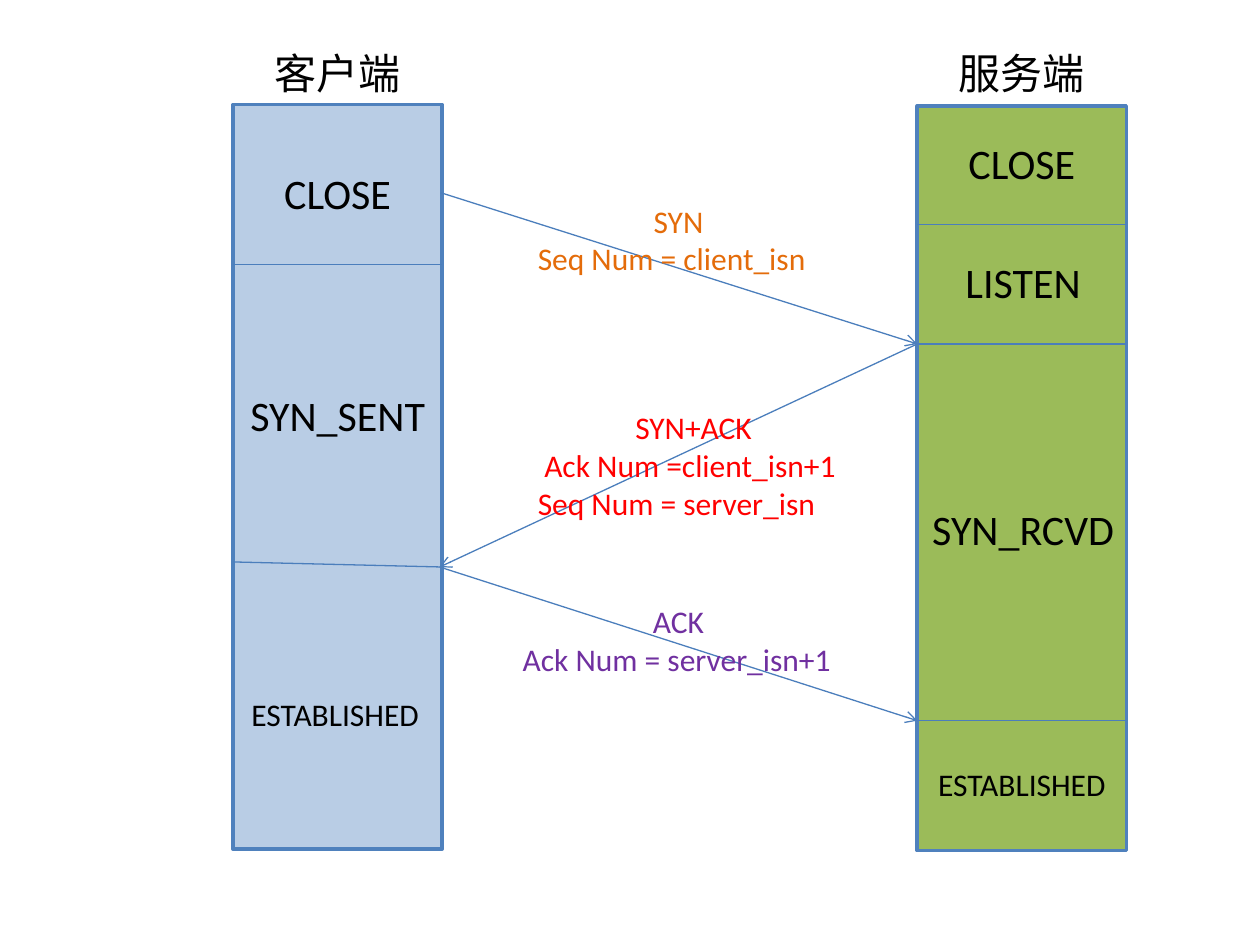
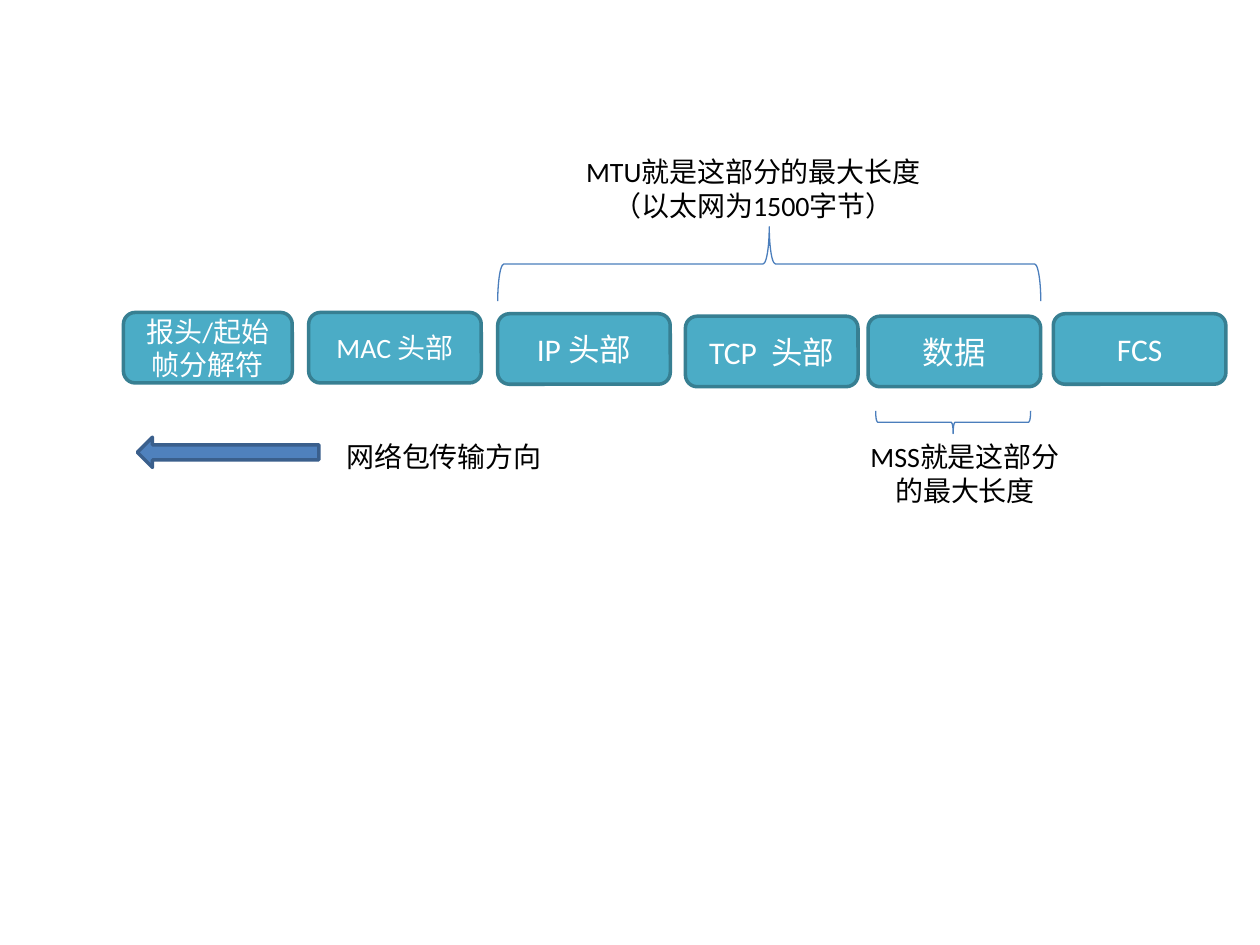
import pptx
import pptx.util
import pptx.dml.color
import pptx.enum.shapes
import pptx.enum.text
import pptx.oxml
import pptx.oxml.ns

SHAPE = pptx.enum.shapes.MSO_SHAPE
ALIGN = pptx.enum.text.PP_ALIGN
PX = 9144
SLIDE_SIZE = (1000, 750)
FONT = "Calibri"
BLACK, WHITE = "000000", "FFFFFF"
BLUE, THIN_BLUE, DARK_BLUE = "4F81BD", "4B7EBC", "3A5F8C"
TEAL, DARK_TEAL = "4BACC6", "377F92"

LANE_WIDTH, LANE_HEIGHT = 166, 591
CLIENT_X, SERVER_X = 185, 728
CLIENT_EDGE = CLIENT_X + LANE_WIDTH - 1
HEADING_OVERHANG = 16

LANES = [
    {"heading": "客户端", "left": CLIENT_X, "top": 83, "fill": "B9CDE5",
     "dividers": [(210, 210), (446, 450)],
     "states": [("CLOSE", 0, 128, 24), ("SYN_SENT", 0, 304, 24), ("ESTABLISHED", -2, 547, 18)]},
    {"heading": "服务端", "left": SERVER_X, "top": 84, "fill": "9BBB59",
     "dividers": [(178, 178), (273, 273), (572, 572)],
     "states": [("CLOSE", 0, 104, 24), ("LISTEN", 1, 199, 24),
                ("SYN_RCVD", 1, 395, 24), ("ESTABLISHED", 0, 602, 18)]},
]

MESSAGES = [
    {"start": (CLIENT_EDGE, 153), "end": (SERVER_X, 273), "box": (417, 155, 243, 71), "color": "E46C0A",
     "lines": [("SYN", ALIGN.CENTER), ("Seq Num = client_isn", ALIGN.LEFT)]},
    {"start": (SERVER_X, 273), "end": (CLIENT_EDGE - 1, 450), "box": (417, 319, 267, 101), "color": "FF0000",
     "lines": [("SYN+ACK", ALIGN.CENTER), ("Ack Num =client_isn+1 ", ALIGN.CENTER),
               ("Seq Num = server_isn", ALIGN.LEFT)]},
    {"start": (CLIENT_EDGE - 1, 450), "end": (SERVER_X, 572), "box": (405, 473, 267, 71), "color": "7030A0",
     "lines": [("ACK", ALIGN.CENTER), ("Ack Num = server_isn+1", ALIGN.LEFT)]},
]

FIELD_HEIGHT = 56
FIELDS = [
    ("报头/起始帧分解符", 98, 248, 134, 16),
    ("MAC 头部", 245, 248, 137, 16),
    ("IP 头部", 395, 249, 137, 18),
    ("TCP  头部", 544, 251, 137, 18),
    ("数据", 689, 251, 137, 18),
    ("FCS", 836, 249, 137, 18),
]
BRACES = [
    {"span": (395, 180, 431, 59), "turn": 90, "box": (395, 118, 406, 64),
     "lines": ["MTU就是这部分的最大长度", "（以太网为1500字节）"]},
    {"span": (695, 326, 123, 18), "turn": 270, "box": (673, 344, 186, 64),
     "lines": ["MSS就是这部分的最大长度"]},
]
DIRECTION = {"arrow": (109, 347, 144, 24), "box": (265, 344, 211, 37), "text": "网络包传输方向"}


def emu(*lengths):
    return [round(length * PX) for length in lengths]


def rgb(color):
    return pptx.dml.color.RGBColor.from_string(color)


def write(frame, lines, size=16, color=BLACK, align=ALIGN.CENTER):
    frame.word_wrap = True
    for index, line in enumerate(lines):
        text, line_align = line if isinstance(line, tuple) else (line, align)
        paragraph = frame.add_paragraph() if index else frame.paragraphs[0]
        paragraph.alignment = line_align
        run = paragraph.add_run()
        run.text = text
        run.font.name = FONT
        run.font.size = pptx.util.Pt(size)
        run.font.color.rgb = rgb(color)


def add_label(slide, box, lines, **style):
    frame = slide.shapes.add_textbox(*emu(*box)).text_frame
    write(frame, lines, **style)
    frame.auto_size = pptx.enum.text.MSO_AUTO_SIZE.SHAPE_TO_FIT_TEXT


def add_block(slide, preset, box, fill=None, line=THIN_BLUE, weight=2, turn=0):
    block = slide.shapes.add_shape(preset, *emu(*box))
    block.shadow.inherit = False
    block.rotation = turn
    if fill:
        block.fill.solid()
        block.fill.fore_color.rgb = rgb(fill)
    else:
        block.fill.background()
    block.line.color.rgb = rgb(line)
    block.line.width = pptx.util.Pt(weight)
    return block


def add_line(slide, start, end, arrow=False):
    line = slide.shapes.add_connector(
        pptx.enum.shapes.MSO_CONNECTOR.STRAIGHT, *emu(*start, *end))
    line.line.color.rgb = rgb(THIN_BLUE)
    line.line.width = pptx.util.Pt(0.75)
    if arrow:
        head = pptx.oxml.parse_xml(
            f'<a:tailEnd {pptx.oxml.ns.nsdecls("a")} type="arrow"/>')
        line.line._get_or_add_ln().append(head)
    line._element.spPr.append(
        pptx.oxml.parse_xml(f'<a:effectLst {pptx.oxml.ns.nsdecls("a")}/>'))


def build_handshake(slide):
    for lane in LANES:
        left, right = lane["left"], lane["left"] + LANE_WIDTH
        add_block(slide, SHAPE.RECTANGLE, (left, lane["top"], LANE_WIDTH, LANE_HEIGHT),
                  fill=lane["fill"], line=BLUE)
        add_label(slide, (left - HEADING_OVERHANG, 33, LANE_WIDTH + 2 * HEADING_OVERHANG, 50),
                  [lane["heading"]], size=24)
        for left_y, right_y in lane["dividers"]:
            add_line(slide, (left, left_y), (right, right_y))
        for state, shift, top, size in lane["states"]:
            add_label(slide, (left + shift, top, LANE_WIDTH, 50 if size == 24 else 40),
                      [state], size=size)
    for message in MESSAGES:
        add_line(slide, message["start"], message["end"], arrow=True)
    for message in MESSAGES:
        add_label(slide, message["box"], message["lines"], size=18, color=message["color"])


def build_frame_layout(slide):
    for name, left, top, width, size in FIELDS:
        field = add_block(slide, SHAPE.ROUNDED_RECTANGLE, (left, top, width, FIELD_HEIGHT),
                          fill=TEAL, line=DARK_TEAL)
        write(field.text_frame, [name], size=size, color=WHITE)
        field.text_frame.vertical_anchor = pptx.enum.text.MSO_ANCHOR.MIDDLE
    for brace in BRACES:
        left, top, width, height = brace["span"]
        inset = (width - height) / 2
        add_block(slide, SHAPE.LEFT_BRACE, (left + inset, top - inset, height, width),
                  weight=0.75, turn=brace["turn"])
        add_label(slide, brace["box"], brace["lines"])
    add_block(slide, SHAPE.RIGHT_ARROW, DIRECTION["arrow"], fill=BLUE, line=DARK_BLUE, turn=180)
    add_label(slide, DIRECTION["box"], [DIRECTION["text"]], align=ALIGN.LEFT)


def main():
    deck = pptx.Presentation()
    deck.slide_width, deck.slide_height = emu(*SLIDE_SIZE)
    for build in (build_handshake, build_frame_layout):
        build(deck.slides.add_slide(deck.slide_layouts[6]))
    deck.save("out.pptx")


if __name__ == "__main__":
    main()
